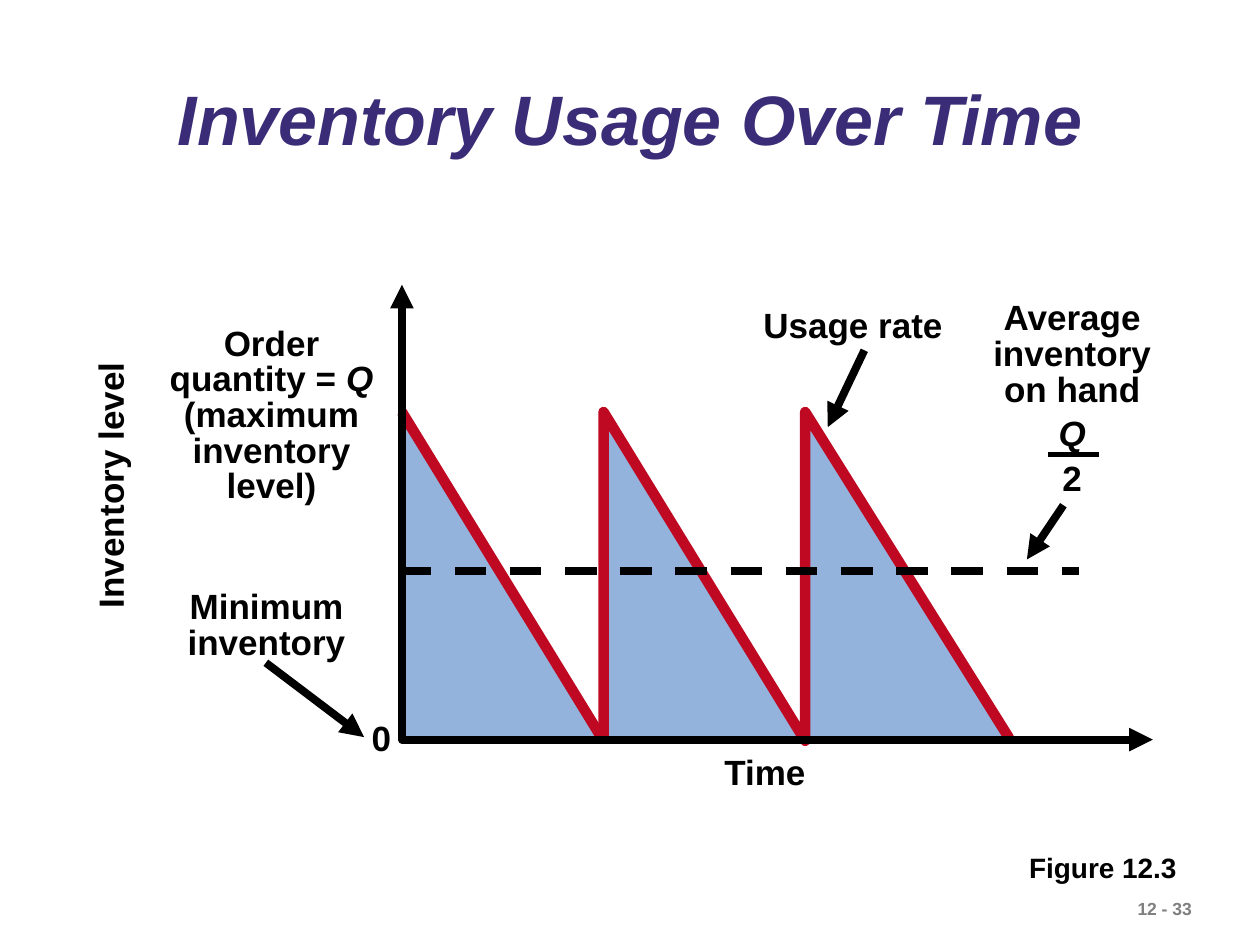
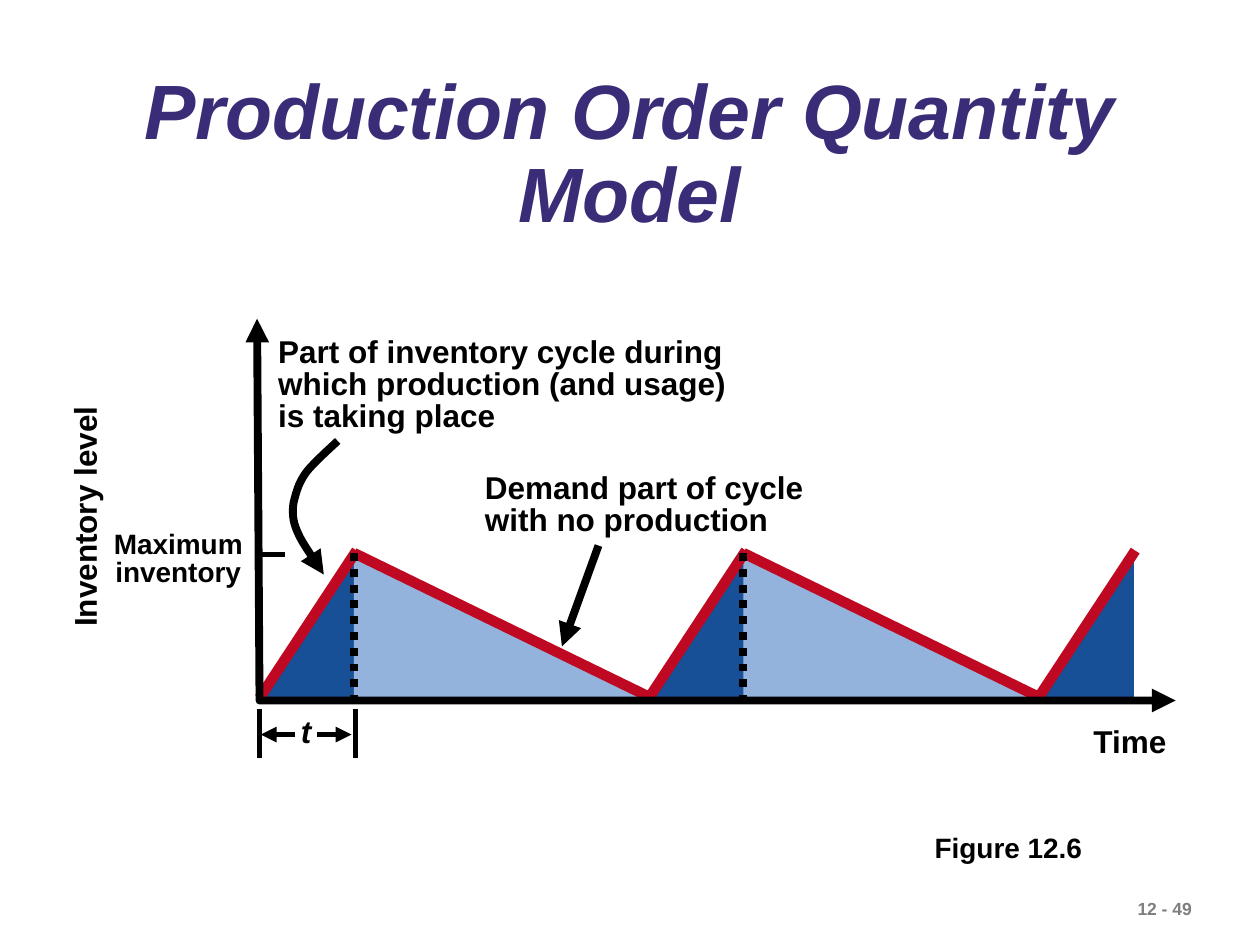
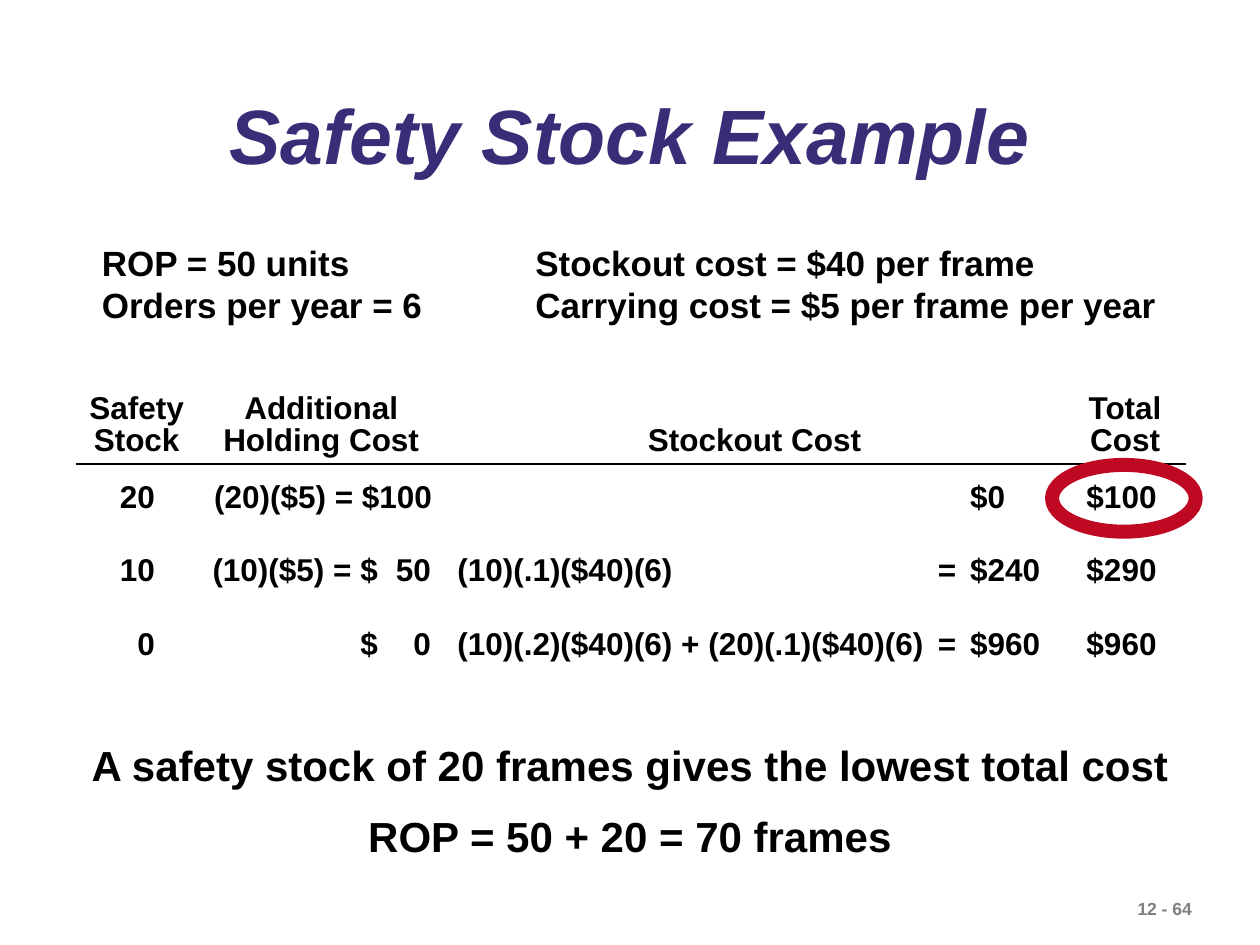
from dataclasses import dataclass
from typing import Optional

from lxml.etree import SubElement
from pptx import Presentation
from pptx.dml.color import RGBColor
from pptx.enum.dml import MSO_LINE
from pptx.enum.shapes import MSO_CONNECTOR, MSO_SHAPE
from pptx.enum.text import MSO_ANCHOR, MSO_AUTO_SIZE, PP_ALIGN
from pptx.oxml import parse_xml
from pptx.oxml.ns import nsdecls, qn
from pptx.util import Inches, Pt

COLORS = {
    "title": "3A2C76",
    "ink": "000000",
    "muted": "7F7F7F",
    "red": "BF0922",
    "light": "93B3DD",
    "dark": "175097",
}
FONT = "Arial"
COLUMNS, ROWS = 100, 75
SLIDE_WIDTH, SLIDE_HEIGHT = Inches(10), Inches(7.5)
NO_GRID_STYLE = "{2D5ABB26-0587-4C30-8999-92F81FD0307C}"
LEFT, CENTER, RIGHT = PP_ALIGN.LEFT, PP_ALIGN.CENTER, PP_ALIGN.RIGHT


@dataclass(frozen=True)
class Area:
    left: float
    top: float
    width: float
    height: float


@dataclass(frozen=True)
class Label:
    text: str
    area: Area
    size: float = 20
    align: PP_ALIGN = LEFT
    spacing: Optional[float] = None
    before: float = 0
    wrap: bool = False
    turn: float = 0
    color: str = "ink"
    tabs: tuple = ()


@dataclass(frozen=True)
class Line:
    start: tuple
    end: tuple
    weight: float = 4.5
    color: str = "ink"
    dash: Optional[MSO_LINE] = None
    head: bool = False
    tail: bool = False


def across(columns: float) -> int:
    return round(SLIDE_WIDTH * columns / COLUMNS)


def down(rows: float) -> int:
    return round(SLIDE_HEIGHT * rows / ROWS)


def place(area: Area) -> tuple:
    return across(area.left), down(area.top), across(area.width), down(area.height)


def color_of(name: str) -> RGBColor:
    return RGBColor.from_string(COLORS[name])


def write(frame, text: str, *, size: float = 20, color: str = "ink", italic: bool = False,
          align: PP_ALIGN = LEFT, spacing: Optional[float] = None,
          before: float = 0, after: float = 0, tabs: tuple = ()) -> None:
    for number, line in enumerate(text.split("\n")):
        para = frame.add_paragraph() if number else frame.paragraphs[0]
        if tabs:
            stops = SubElement(para._p.get_or_add_pPr(), qn("a:tabLst"))
            for columns, kind in tabs:
                SubElement(stops, qn("a:tab"), pos=str(across(columns)), algn=kind)
        para.alignment = align
        if spacing:
            para.line_spacing = spacing
        if before and number:
            para.space_before = Pt(before)
        if after:
            para.space_after = Pt(after)
        for index, piece in enumerate(line.split("*")):
            if piece:
                span = para.add_run()
                span.text = piece
                span.font.name = FONT
                span.font.size = Pt(size)
                span.font.bold = True
                span.font.italic = italic or index % 2 == 1
                span.font.color.rgb = color_of(color)


def draw_label(slide, label: Label) -> None:
    box = slide.shapes.add_textbox(*place(label.area))
    box.rotation = label.turn
    box.text_frame.word_wrap = label.wrap
    box.text_frame.auto_size = MSO_AUTO_SIZE.SHAPE_TO_FIT_TEXT
    write(box.text_frame, label.text, size=label.size, color=label.color, align=label.align,
          spacing=label.spacing, before=label.before, tabs=label.tabs)


def style_line(line, weight: float, color: str, head: bool = False, tail: bool = False,
               dash: Optional[MSO_LINE] = None) -> None:
    line.width = Pt(weight)
    line.fill.solid()
    line.fill.fore_color.rgb = color_of(color)
    if dash:
        line.dash_style = dash
    for wanted, tag in ((head, "a:headEnd"), (tail, "a:tailEnd")):
        if wanted:
            SubElement(line._get_or_add_ln(), qn(tag), type="triangle")


def draw_line(slide, line: Line) -> None:
    connector = slide.shapes.add_connector(
        MSO_CONNECTOR.STRAIGHT, across(line.start[0]), down(line.start[1]),
        across(line.end[0]), down(line.end[1]))
    style_line(connector.line, line.weight, line.color, line.head, line.tail, line.dash)
    SubElement(connector.element.spPr, qn("a:effectLst"))


def draw_outline(slide, points: list, weight: float = 4.5, color: str = "ink",
                 head: bool = False, tail: bool = False) -> None:
    corners = [(across(x), down(y)) for x, y in points]
    builder = slide.shapes.build_freeform(*corners[0])
    builder.add_line_segments(corners[1:], close=False)
    outline = builder.convert_to_shape()
    outline.shadow.inherit = False
    outline.fill.background()
    style_line(outline.line, weight, color, head, tail)


def draw_triangle(slide, area: Area, color: str, mirrored: bool = False) -> None:
    triangle = slide.shapes.add_shape(MSO_SHAPE.RIGHT_TRIANGLE, *place(area))
    triangle.shadow.inherit = False
    triangle.fill.solid()
    triangle.fill.fore_color.rgb = color_of(color)
    triangle.line.fill.background()
    if mirrored:
        triangle.element.spPr.xfrm.set("flipH", "1")


def curve(start: tuple, *segments: tuple, steps: int = 8) -> list:
    points = [start]
    for first, second, end in segments:
        origin = points[-1]
        for step in range(1, steps + 1):
            t = step / steps
            weights = ((1 - t) ** 3, 3 * t * (1 - t) ** 2, 3 * t * t * (1 - t), t ** 3)
            corners = (origin, first, second, end)
            points.append(tuple(sum(w * corner[axis] for w, corner in zip(weights, corners))
                                for axis in (0, 1)))
    return points


def start_slide(deck, title: str, area: Area, size: float, number: int):
    slide = deck.slides.add_slide(deck.slide_layouts.get_by_name("Title Only"))
    holder = slide.shapes.title
    holder.left, holder.top, holder.width, holder.height = place(area)
    frame = holder.text_frame
    frame.word_wrap = True
    frame.auto_size = MSO_AUTO_SIZE.NONE
    frame.vertical_anchor = MSO_ANCHOR.MIDDLE
    write(frame, title, size=size, color="title", italic=True, align=CENTER, spacing=0.9)
    draw_label(slide, Label(f"12 - {number}", Area(89.3, 70.8, 11.4, 2.7), size=10, color="muted"))
    return slide


def draw_all(slide, lines: list, labels: list) -> None:
    for line in lines:
        draw_line(slide, line)
    for label in labels:
        draw_label(slide, label)


def build_usage(deck) -> None:
    slide = start_slide(deck, "Inventory Usage Over Time", Area(7.5, 4.8, 85, 9.9), 40, 33)
    origin, cycle, peak, floor = 31.9, 16, 32.7, 58.8
    starts = [origin + cycle * index for index in range(3)]
    for start in starts:
        draw_triangle(slide, Area(start, 33.1, cycle, 25.6), "light")
    draw_line(slide, Line((origin, peak), (starts[1], floor), 6, "red"))
    zigzag = [point for start in starts[1:] for point in ((start, floor), (start, peak))]
    draw_outline(slide, zigzag + [(80.1, 58.6)], 6, "red")
    draw_outline(slide, [(origin, 22.6), (origin, 58.7), (91.5, 58.7)], head=True, tail=True)
    lines = [
        Line((68.6, 27.8), (65.7, 33.9), tail=True),
        Line((31.7, 45.3), (85.6, 45.3), dash=MSO_LINE.DASH),
        Line((83.2, 36.1), (87.2, 36.1), 3),
        Line((84.4, 40.1), (81.5, 44.4), tail=True),
        Line((21.1, 52.6), (28.9, 58.5), tail=True),
    ]
    centered = {"align": CENTER, "spacing": 0.85, "wrap": True}
    labels = [
        Label("Figure 12.3", Area(80.7, 67, 13.7, 3.7), size=16),
        Label("Order quantity = *Q* (maximum inventory level)",
              Area(11.8, 25.5, 19.5, 15.2), **centered),
        Label("Usage rate", Area(59.6, 23.6, 16.2, 4.4)),
        Label("Average inventory on hand\n*Q*\n2", Area(76.8, 23.5, 16.6, 16.6),
              before=5, **centered),
        Label("Minimum inventory", Area(13.4, 46.4, 15.5, 6.7), **centered),
        Label("Inventory level", Area(-2, 36.3, 21.5, 4.4), turn=270),
        Label("Time", Area(56.5, 59.1, 8.5, 4.4)),
        Label("0", Area(28.5, 56.4, 3.5, 4.4)),
    ]
    draw_all(slide, lines, labels)


def build_production(deck) -> None:
    slide = start_slide(deck, "Production Order Quantity Model",
                        Area(7.5, 5.1, 85, 14.6), 44, 49)
    origin, cycle, run, peak, floor = 20.6, 30.9, 7.5, 43.9, 55.4
    for index in range(3):
        start = origin + cycle * index
        top = start + run
        draw_triangle(slide, Area(start, 44.2, 7.6, 11.2), "dark", mirrored=True)
        if index < 2:
            draw_triangle(slide, Area(top, 43.8, 24, 11.7), "light")
        draw_line(slide, Line((start, floor), (top + 0.2, 43.7), 6, "red"))
        if index < 2:
            draw_line(slide, Line((top, peak), (start + cycle, 55.3), 6, "red"))
            draw_line(slide, Line((top, peak), (top, floor), dash=MSO_LINE.ROUND_DOT))
    draw_outline(slide, [(20.4, 25.3), (20.6, 55.6), (93.3, 55.6)], head=True, tail=True)
    draw_outline(slide, curve(
        (26.8, 35),
        ((26.4, 35.4), (24.9, 36.7), (24.3, 37.5)),
        ((23.7, 38.3), (23.5, 39.1), (23.3, 39.9)),
        ((23.2, 40.6), (23.2, 41.3), (23.6, 42.2)),
        ((24, 43.2), (25.3, 44.9), (25.7, 45.6))), tail=True)
    lines = [
        Line((47.5, 43.3), (44.6, 51.3), tail=True),
        *(Line((x, 56.3), (x, 60.2), 3) for x in (20.6, 28.2)),
        *(Line((x, 58.3), (end, 58.3), 3, head=True) for x, end in ((20.7, 23.4), (27.9, 25.2))),
        Line((20.6, 44), (22.6, 44), 3),
    ]
    tight = {"size": 18, "spacing": 0.85}
    labels = [
        Label("Inventory level", Area(-2.8, 39.2, 19.5, 3.6), align=CENTER, turn=270, **tight),
        Label("Time", Area(85.8, 56.8, 7.8, 4), size=18),
        Label("Demand part of cycle with no production",
              Area(37.5, 37.1, 29.1, 6.1), wrap=True, **tight),
        Label("Part of inventory cycle during which production (and usage) is taking place",
              Area(21.1, 26.3, 38.4, 8.7), wrap=True, **tight),
        Label("*t*", Area(22.9, 56.5, 2.8, 3.6), align=CENTER, **tight),
        Label("Maximum inventory", Area(6.5, 41.7, 15.3, 5.6), size=16, align=CENTER,
              spacing=0.85, wrap=True),
        Label("Figure 12.6", Area(73.2, 65.4, 13.7, 3.7), size=16),
    ]
    draw_all(slide, lines, labels)


def draw_cost_table(slide) -> None:
    widths, heights = (9.7, 19.6, 49.2, 9.6), (7.9, 5.6, 6, 5.8)
    rows = [
        ("Safety Stock", "Additional Holding Cost", "Stockout Cost", "Total Cost"),
        ("\t20", "(20)($5) = $100", "\t\t$0", "\t$100"),
        ("\t10", "\t(10)($5) = $\t50", "(10)(.1)($40)(6)\t=\t$240", "\t$290"),
        ("\t0", "\t$\t0", "(10)(.2)($40)(6) + (20)(.1)($40)(6)\t=\t$960", "\t$960"),
    ]
    stops = (
        ((5.3, "r"),),
        ((13.3, "r"), (17.5, "r")),
        ((39.6, "r"), (40.7, "l")),
        ((6.3, "r"),),
    )
    area = Area(6, 28.9, sum(widths), sum(heights))
    table = slide.shapes.add_table(len(rows), len(widths), *place(area)).table
    table.first_row = table.horz_banding = False
    table._tbl.tblPr.find(qn("a:tableStyleId")).text = NO_GRID_STYLE
    for column, width in zip(table.columns, widths):
        column.width = across(width)
    for row, height in zip(table.rows, heights):
        row.height = down(height)
    for row_index, texts in enumerate(rows):
        for column_index, text in enumerate(texts):
            cell = table.cell(row_index, column_index)
            cell.fill.background()
            header = row_index == 0
            cell.vertical_anchor = MSO_ANCHOR.BOTTOM if header else MSO_ANCHOR.MIDDLE
            align = CENTER if header else LEFT if "\t" in text else RIGHT
            write(cell.text_frame, text, size=18, align=align, spacing=0.9, after=9,
                  tabs=stops[column_index] if "\t" in text else ())
            if header:
                border = parse_xml(
                    f'<a:lnB {nsdecls("a")} w="{Pt(1.5)}"><a:solidFill>'
                    f'<a:srgbClr val="{COLORS["ink"]}"/></a:solidFill></a:lnB>')
                cell._tc.get_or_add_tcPr().insert(0, border)


def build_safety_stock(deck) -> None:
    slide = start_slide(deck, "Safety Stock Example", Area(6, 6, 88, 10.1), 44, 64)
    draw_label(slide, Label(
        "ROP = 50 units\tStockout cost = $40 per frame\n"
        "Orders per year = 6\tCarrying cost = $5 per frame per year",
        Area(7.1, 18.7, 85.7, 7.7), tabs=((34.4, "l"),)))
    draw_cost_table(slide)
    draw_label(slide, Label(
        "A safety stock of 20 frames gives the lowest total cost\nROP = 50 + 20 = 70 frames",
        Area(6.2, 56.6, 87.6, 12.2), size=24, align=CENTER, spacing=1.4))
    ring = slide.shapes.add_shape(MSO_SHAPE.OVAL, *place(Area(83.5, 36.9, 11.4, 5.3)))
    ring.shadow.inherit = False
    ring.fill.background()
    style_line(ring.line, 8, "red")


def main() -> None:
    deck = Presentation()
    deck.slide_width, deck.slide_height = SLIDE_WIDTH, SLIDE_HEIGHT
    build_usage(deck)
    build_production(deck)
    build_safety_stock(deck)
    deck.save("out.pptx")


if __name__ == "__main__":
    main()
